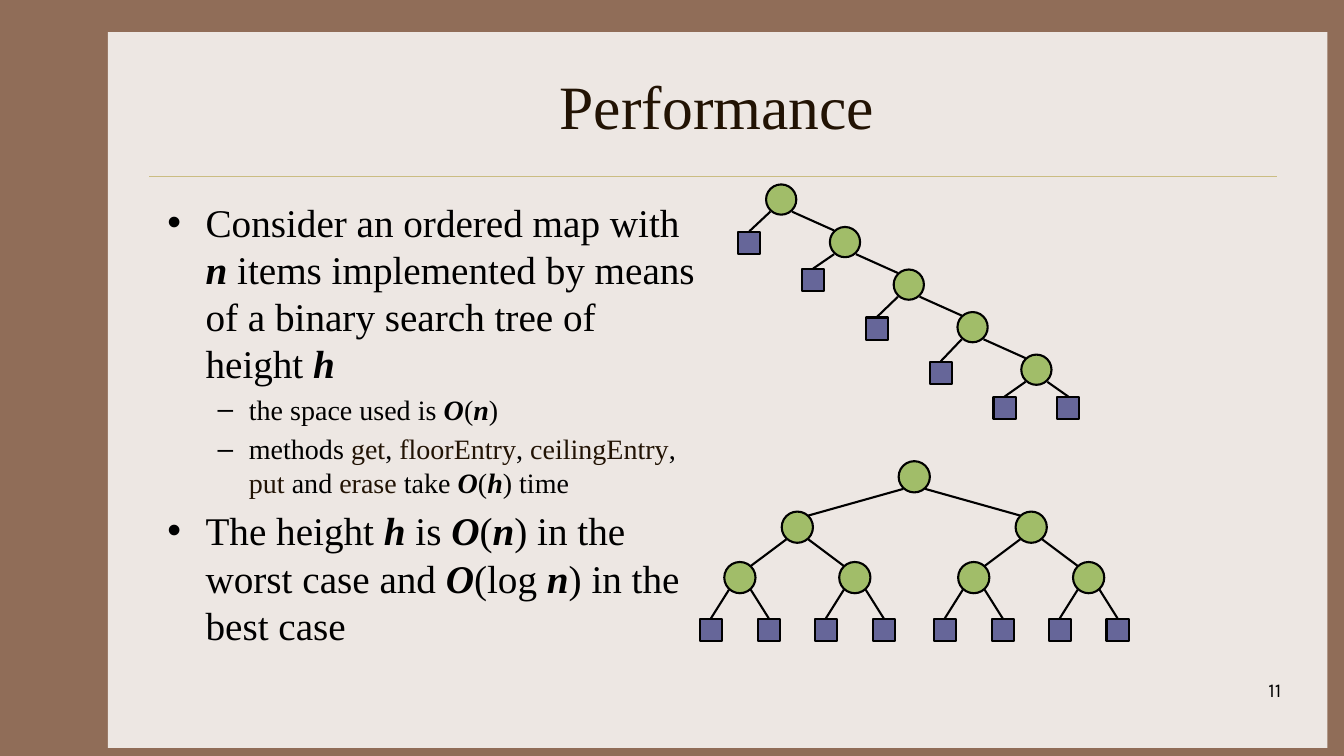
from dataclasses import dataclass

from lxml.etree import SubElement
from pptx import Presentation
from pptx.dml.color import RGBColor
from pptx.enum.shapes import MSO_CONNECTOR as Connector, MSO_SHAPE as Shape
from pptx.enum.text import MSO_ANCHOR as Anchor, MSO_AUTO_SIZE as AutoSize, PP_ALIGN as Align
from pptx.oxml.ns import qn
from pptx.util import Inches, Pt

COLUMNS, ROWS = 133.33, 75  # square grid cells, a tenth of an inch each


@dataclass(frozen=True)
class Theme:
    frame: str = "906D58"
    paper: str = "EDE7E3"
    rule: str = "CBBD83"
    ink: str = "000000"
    accent: str = "221304"
    node: str = "A1BD69"
    leaf: str = "666699"
    serif: str = "Times New Roman"
    sans: str = "Karla"
    title_size: float = 44
    number_size: float = 14
    body_sizes: tuple = (28, 20)
    bullets: tuple = ("•", "–")
    indents: tuple = ((0.38, -0.38), (0.81, -0.31))
    outline: float = 1.5
    hairline: float = 0.25


def cells(count):
    return Inches(count / 10)


def color(code):
    return RGBColor.from_string(code)


def add_text(para, text, *, size, font, ink, bold=False, italic=False):
    span = para.add_run()
    span.text = text
    span.font.size, span.font.name = Pt(size), font
    span.font.bold, span.font.italic = bold, italic
    span.font.color.rgb = color(ink)


class SlideBuilder:
    def __init__(self, page, theme):
        self.page, self.theme = page, theme
        page.background.fill.solid()
        page.background.fill.fore_color.rgb = color(theme.frame)

    def place(self, box, left, top, width, height):
        box.left, box.top = cells(left), cells(top)
        box.width, box.height = cells(width), cells(height)
        box.text_frame.word_wrap = True
        box.text_frame.auto_size = AutoSize.NONE
        return box.text_frame

    def shape(self, kind, left, top, width, height, fill, outline=None):
        item = self.page.shapes.add_shape(kind, *map(cells, (left, top, width, height)))
        item.shadow.inherit = False
        item.fill.solid()
        item.fill.fore_color.rgb = color(fill)
        if outline:
            item.line.color.rgb = color(outline)
            item.line.width = Pt(self.theme.outline)
        else:
            item.line.fill.background()

    def line(self, start, end, ink, width):
        item = self.page.shapes.add_connector(Connector.STRAIGHT, *map(cells, (*start, *end)))
        item.line.color.rgb = color(ink)
        item.line.width = Pt(width)
        SubElement(item._element.spPr, qn("a:effectLst"))

    def title(self, text, *area):
        frame = self.place(self.page.shapes.title, *area)
        frame.vertical_anchor = Anchor.MIDDLE
        para = frame.paragraphs[0]
        para.alignment = Align.CENTER
        add_text(para, text, size=self.theme.title_size, font=self.theme.serif,
                 ink=self.theme.accent)

    def bullet_list(self, items, *area):
        """Asterisks enclose bold italic symbols; backticks enclose method names."""
        theme = self.theme
        frame = self.place(self.page.placeholders[1], *area)
        frame.vertical_anchor = Anchor.TOP
        for index, (level, text) in enumerate(items):
            para = frame.paragraphs[0] if index == 0 else frame.add_paragraph()
            size = theme.body_sizes[level]
            para.level, para.space_before = level, Pt(size * 0.2)
            properties = para._p.get_or_add_pPr()
            for name, inches in zip(("marL", "indent"), theme.indents[level]):
                properties.set(name, str(Inches(inches)))
            SubElement(properties, qn("a:buChar"), char=theme.bullets[level])
            for i, part in enumerate(text.split("*")):
                for j, piece in enumerate(part.split("`")):
                    if piece:
                        add_text(para, piece, size=size, font=theme.serif,
                                 ink=theme.accent if j % 2 else theme.ink,
                                 bold=i % 2 == 1, italic=i % 2 == 1)

    def page_number(self, text, *area):
        box = self.page.shapes.add_textbox(0, 0, 0, 0)
        para = self.place(box, *area).paragraphs[0]
        para.alignment = Align.RIGHT
        add_text(para, text, size=self.theme.number_size, font=self.theme.sans,
                 ink=self.theme.ink)

    def node(self, x, y, size):
        self.shape(Shape.OVAL, x - size / 2, y - size / 2, size, size,
                   self.theme.node, self.theme.ink)

    def leaf(self, x, y, size=2.2):
        self.shape(Shape.RECTANGLE, x - size / 2, y - size / 2, size, size,
                   self.theme.leaf, self.theme.ink)

    def edge(self, parent, child, to_leaf=False):
        side = 1.08 if child[0] > parent[0] else -1.08
        end_x = child[0] if to_leaf else child[0] - side
        self.line((parent[0] + side, parent[1] + 1.2), (end_x, child[1] - 1.15),
                  self.theme.ink, self.theme.outline)

    def skewed_tree(self, x, y, leaf_rows, step=(6.33, 4.22), size=3):
        """Each node has a leaf on its left and the next node on its right."""
        half = step[0] / 2
        last = len(leaf_rows) - 1
        for depth, leaf_row in enumerate(leaf_rows):
            here = (x + depth * step[0], y + depth * step[1])
            leaves = [(here[0] - half, leaf_row)]
            if depth == last:
                leaves.append((here[0] + half, leaf_row))
            else:
                self.edge(here, (here[0] + step[0], here[1] + step[1]))
            for spot in leaves:
                self.edge(here, spot, to_leaf=True)
                self.leaf(*spot)
            self.node(*here, size)

    def balanced_tree(self, x, y, spreads, drops, size=3.1):
        """Each level halves into two subtrees until the leaves."""
        for side in (-1, 1):
            child = (x + side * spreads[0], y + drops[0])
            at_leaf = len(spreads) == 1
            self.edge((x, y), child, to_leaf=at_leaf)
            if at_leaf:
                self.leaf(*child)
            else:
                self.balanced_tree(*child, spreads[1:], drops[1:], size)
        self.node(x, y, size)


def main():
    deck = Presentation()
    deck.slide_width, deck.slide_height = cells(COLUMNS), cells(ROWS)
    theme = Theme()
    slide = SlideBuilder(deck.slides.add_slide(deck.slide_layouts[1]), theme)

    # Paper panel and title rule, behind the placeholders
    slide.shape(Shape.RECTANGLE, 10.7, 3.2, 121, 71, theme.paper)
    slide.line((14.8, 17.5), (126.7, 17.5), theme.rule, theme.hairline)
    tree = slide.page.shapes._spTree
    for holder in list(slide.page.placeholders):
        tree.append(holder._element)

    # Title, bullets and page number
    slide.title("Performance", 15.6, 4.2, 111.1, 12.5)
    slide.bullet_list([
        (0, "Consider an ordered map with *n* items implemented by means of a "
            "binary search tree of height *h*"),
        (1, "the space used is *O*(*n*)"),
        (1, "methods `get`, `floorEntry`, `ceilingEntry`,` put `and `erase` "
            "take *O*(*h*) time"),
        (0, "The height *h* is *O*(*n*) in the worst case and *O*(log *n*) in the best case"),
    ], 15.6, 19.2, 54.4, 45)
    slide.page_number("11", 100.3, 66.8, 27.8, 5)

    # Worst case above, best case below
    slide.skewed_tree(77.5, 19.8, leaf_rows=(24.1, 27.8, 32.6, 37, 40.5))
    slide.balanced_tree(90.7, 47.3, spreads=(11.6, 5.7, 2.87), drops=(5, 5, 5.2))

    deck.save("out.pptx")


if __name__ == "__main__":
    main()
